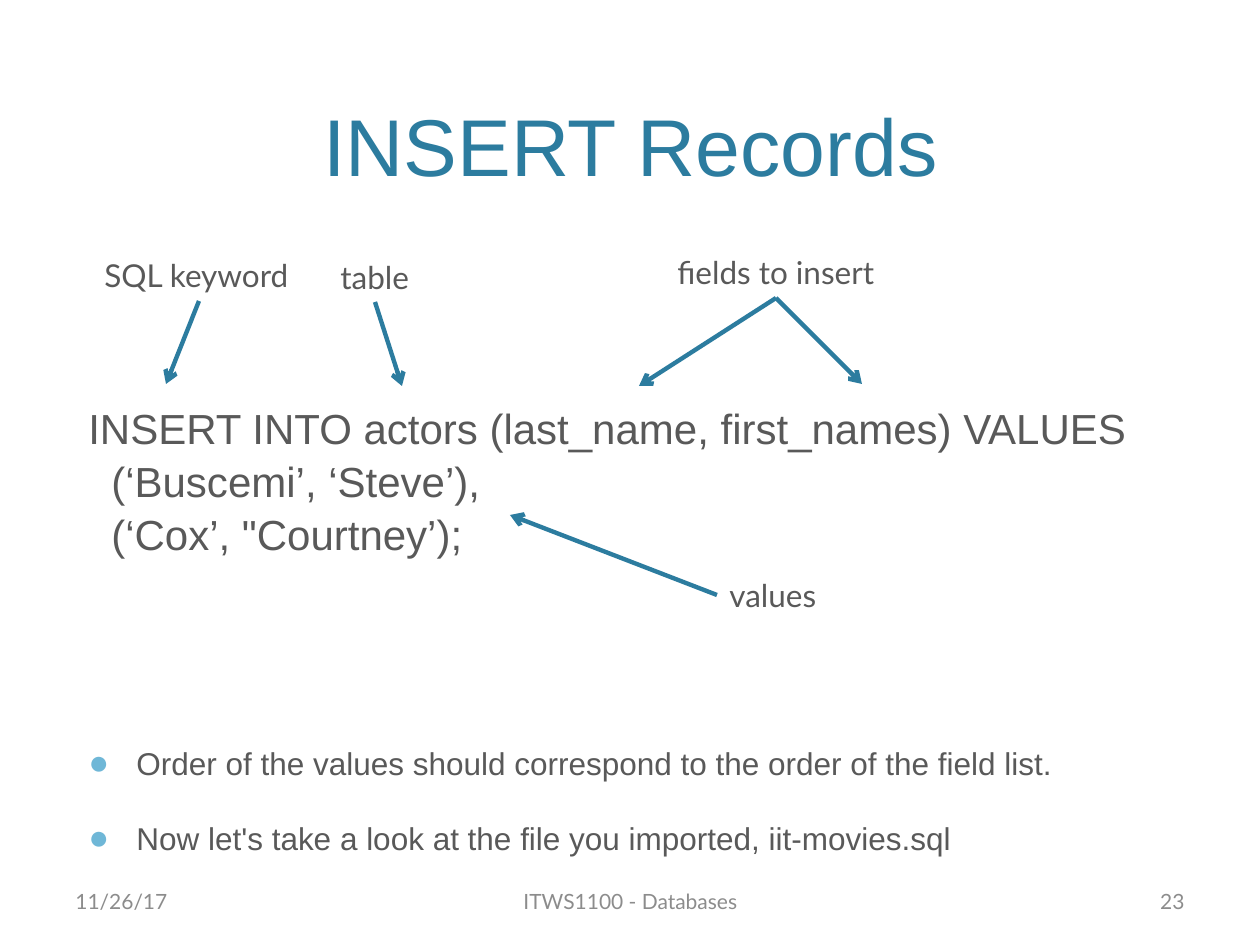
from lxml import etree
from pptx import Presentation
from pptx.dml.color import RGBColor
from pptx.enum.shapes import MSO_CONNECTOR
from pptx.enum.text import MSO_ANCHOR, MSO_AUTO_SIZE, PP_ALIGN
from pptx.oxml.ns import qn
from pptx.util import Emu, Pt

LEFT, CENTER, RIGHT = PP_ALIGN.LEFT, PP_ALIGN.CENTER, PP_ALIGN.RIGHT
TOP, MIDDLE, BOTTOM = MSO_ANCHOR.TOP, MSO_ANCHOR.MIDDLE, MSO_ANCHOR.BOTTOM
FIT_SHAPE, NO_FIT = MSO_AUTO_SIZE.SHAPE_TO_FIT_TEXT, MSO_AUTO_SIZE.NONE
STRAIGHT = MSO_CONNECTOR.STRAIGHT
COLORS = {"title": "2C7C9F", "text": "595959", "bullet": "6FB7D7", "footer": "8C8C8C"}
PIXEL = 914400 / 126

TITLE = "INSERT Records"
STATEMENT = [
    "INSERT INTO actors (last_name, first_names) VALUES",
    "(‘Buscemi’, ‘Steve’),",
    "(‘Cox’, \"Courtney’);",
]
NOTES = [
    "Order of the values should correspond to the order of the field list.",
    "Now let's take a look at the file you imported, iit-movies.sql",
]
LABELS = [
    ("SQL keyword", (92, 250, 215, 50)),
    ("table", (328, 252, 94, 50)),
    ("fields to insert", (665, 247, 222, 50)),
    ("values", (717, 570, 117, 50)),
]
ARROWS = [
    ((199, 301), (166, 384)),
    ((375, 302), (402, 386)),
    ((776, 298), (639, 386)),
    ((776, 298), (862, 384)),
    ((717, 595), (510, 515)),
]
FOOTERS = [
    ("11/26/17", (63, 876, 294, 50), LEFT),
    ("ITWS1100 - Databases", (431, 876, 399, 50), CENTER),
    ("23", (903, 876, 294, 50), RIGHT),
]


def px(value):
    return Emu(round(value * PIXEL))


def write(box, lines, size, font="Arial", color="text", align=LEFT, anchor=TOP,
          wrap=True, spacing=1.0, after=0):
    frame = box.text_frame
    frame.word_wrap = wrap
    frame.auto_size = NO_FIT if wrap else FIT_SHAPE
    frame.vertical_anchor = anchor
    for index, line in enumerate(lines):
        para = frame.paragraphs[0] if index == 0 else frame.add_paragraph()
        para.alignment = align
        para.line_spacing = spacing
        para.space_before, para.space_after = Pt(0), Pt(after)
        span = para.add_run()
        span.text = line
        span.font.size = Pt(size)
        span.font.name = font
        span.font.color.rgb = RGBColor.from_string(COLORS[color])
    return frame.paragraphs


def add_text(page, area, lines, size, **style):
    return write(page.shapes.add_textbox(*map(px, area)), lines, size, **style)


def indent(para, margin, hanging=0):
    properties = para._p.get_or_add_pPr()
    properties.set("marL", str(px(margin)))
    properties.set("indent", str(-px(hanging)))
    return properties


def add_bullet(para):
    properties = indent(para, 48, hanging=48)
    color = etree.SubElement(properties, qn("a:buClr"))
    etree.SubElement(color, qn("a:srgbClr"), val=COLORS["bullet"])
    etree.SubElement(properties, qn("a:buSzPct"), val="110000")
    etree.SubElement(properties, qn("a:buFont"), typeface="Arial")
    etree.SubElement(properties, qn("a:buChar"), char="●")


def add_arrow(page, start, end):
    arrow = page.shapes.add_connector(STRAIGHT, *map(px, start + end))
    arrow.line.color.rgb = RGBColor.from_string(COLORS["title"])
    arrow.line.width = Pt(2.5)
    etree.SubElement(arrow.line._get_or_add_ln(), qn("a:tailEnd"), type="arrow")
    etree.SubElement(arrow._element.spPr, qn("a:effectLst"))


def build():
    """Build the slide on inserting records and save it."""
    deck = Presentation()
    deck.slide_width, deck.slide_height = px(1260), px(945)
    page = deck.slides.add_slide(deck.slide_layouts[5])

    title = page.shapes.title
    title.left, title.top, title.width, title.height = map(px, (76, 15, 1109, 184))
    write(title, [TITLE], 46, color="title", align=CENTER, anchor=BOTTOM)

    statement = add_text(page, (76, 394, 1109, 165), STATEMENT, 24, spacing=1.05)
    for para in statement[1:]:
        indent(para, 23)
    for para in add_text(page, (76, 736, 1109, 128), NOTES, 18, spacing=1.05, after=20):
        add_bullet(para)

    for text, area in LABELS:
        add_text(page, area, [text], 18, font="Lato", wrap=False)
    for start, end in ARROWS:
        add_arrow(page, start, end)
    for text, area, align in FOOTERS:
        add_text(page, area, [text], 12, font="Lato", color="footer",
                 align=align, anchor=MIDDLE)
    deck.save("out.pptx")


build()
